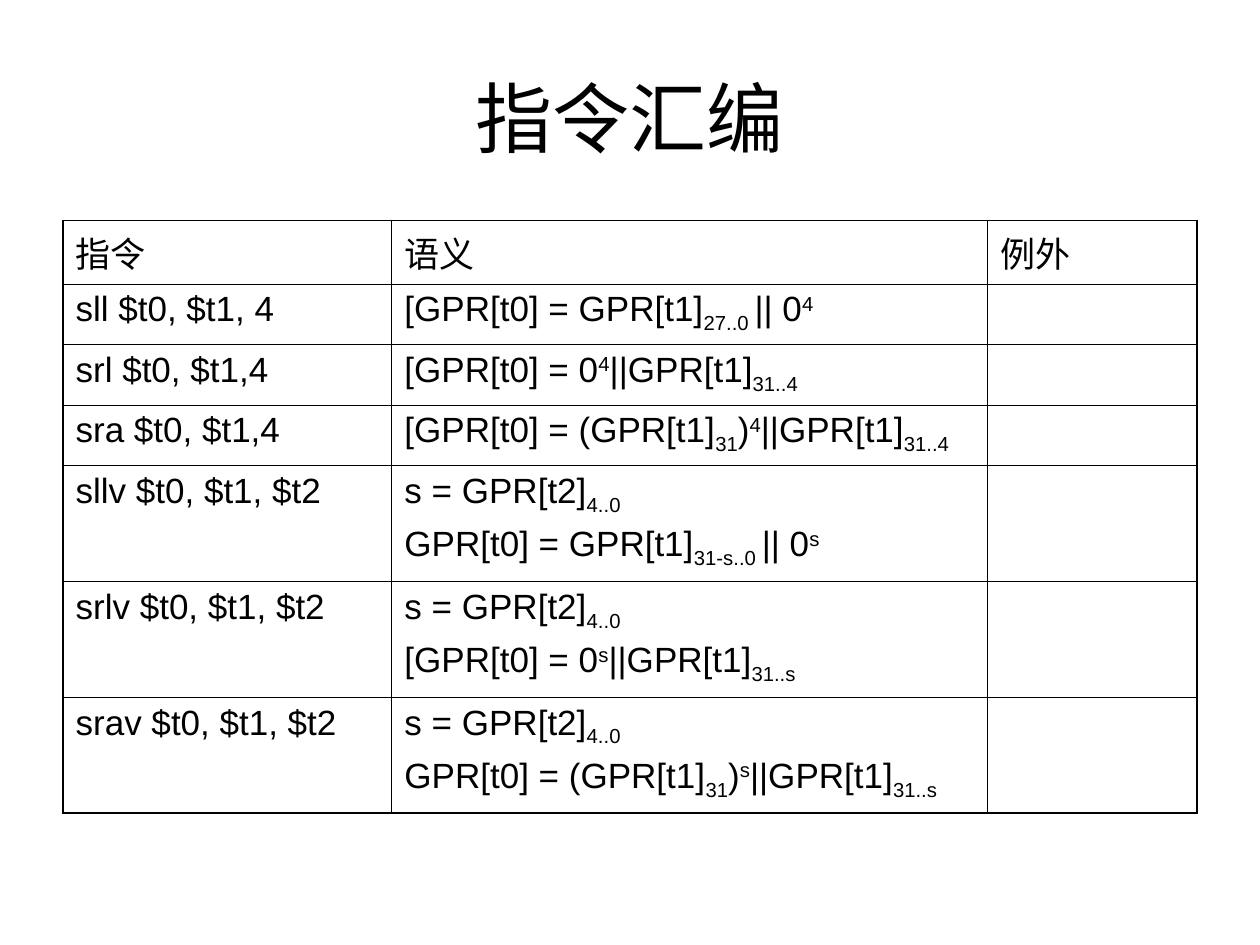
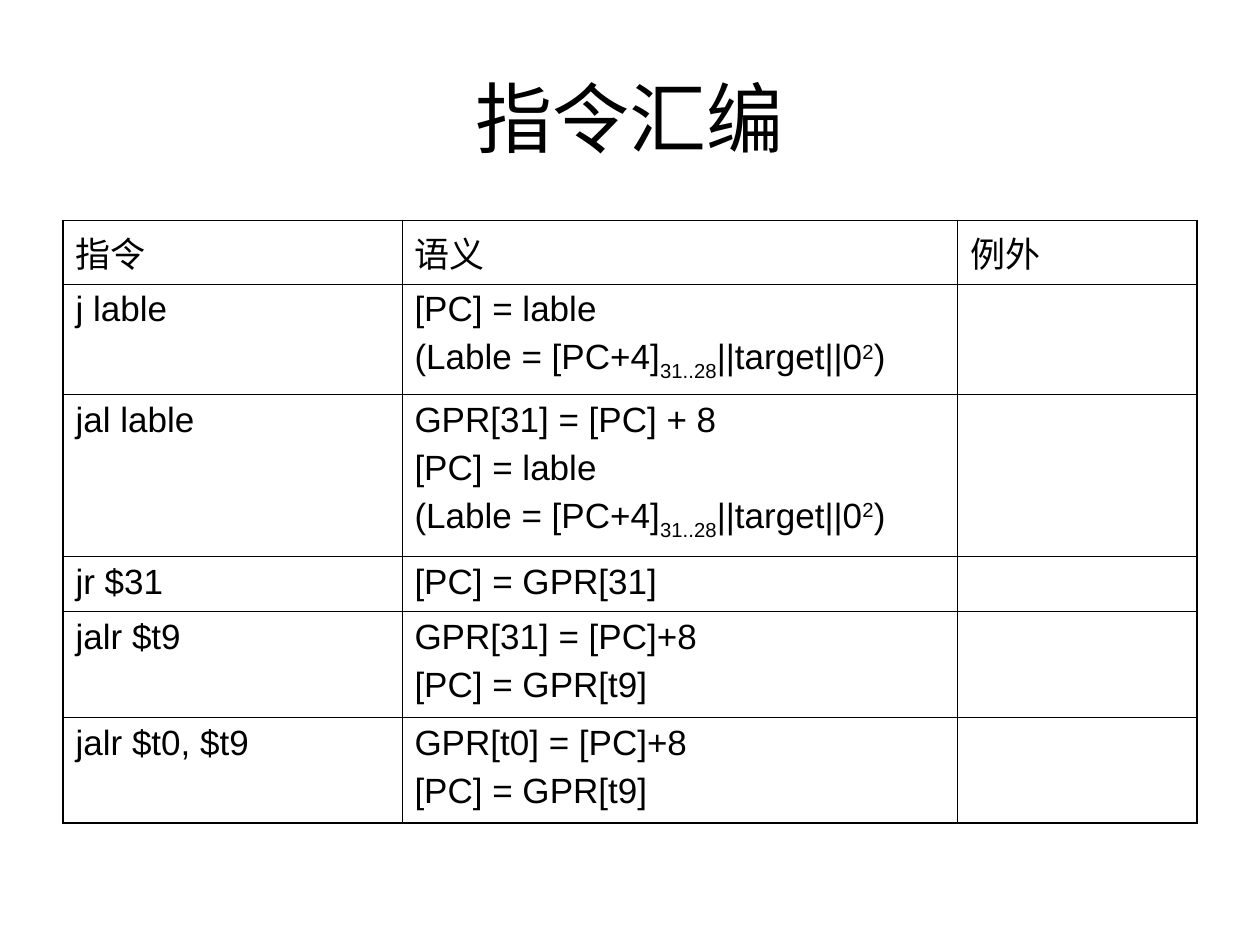
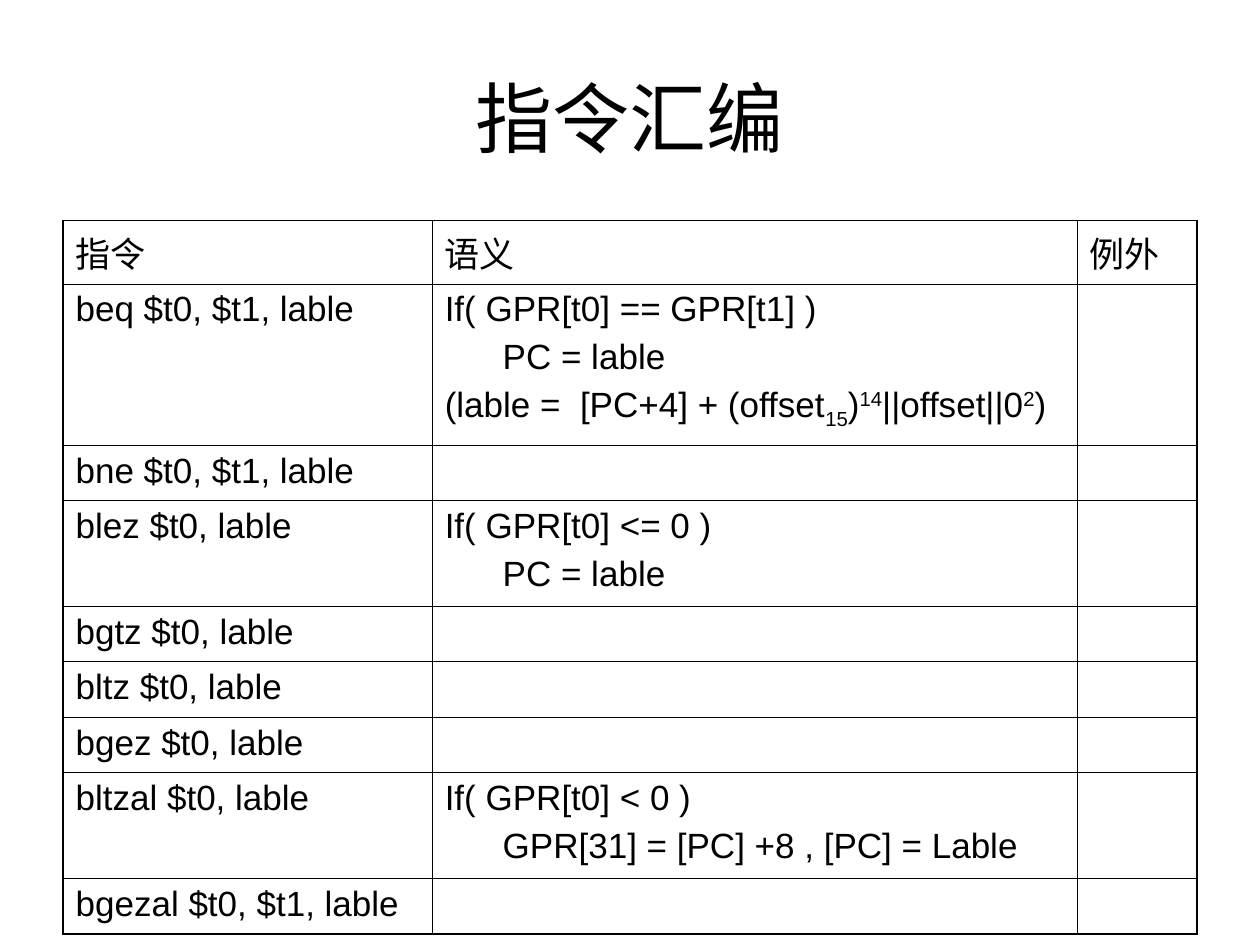
from pptx import Presentation
from pptx.dml.color import RGBColor
from pptx.enum.text import MSO_ANCHOR, PP_ALIGN
from pptx.oxml.ns import qn
from pptx.util import Inches, Pt
from lxml.etree import SubElement

# Content: ~sub~ and ^super^ mark shifted text, a leading > an indented line
TITLE = "指令汇编"
HEAD = ("指令", ["语义"], "例外")
JUMP = "(Lable = [PC+4]~31..28~||target||0^2^)"
SHIFT = "s = GPR[t2]~4..0~"
PAGES = [
    {"cols": (2.61, 4.73), "rows": [
        ("sll $t0, $t1, 4", ["[GPR[t0] = GPR[t1]~27..0 ~|| 0^4^"]),
        ("srl $t0, $t1,4", ["[GPR[t0] = 0^4^||GPR[t1]~31..4~"]),
        ("sra $t0, $t1,4", ["[GPR[t0] = (GPR[t1]~31~)^4^||GPR[t1]~31..4~"]),
        ("sllv $t0, $t1, $t2", [SHIFT, "GPR[t0] = GPR[t1]~31-s..0 ~|| 0^s^"]),
        ("srlv $t0, $t1, $t2", [SHIFT, "[GPR[t0] = 0^s^||GPR[t1]~31..s~"]),
        ("srav $t0, $t1, $t2",
         [SHIFT, "GPR[t0] = (GPR[t1]~31~)^s^||GPR[t1]~31..s~"]),
    ]},
    {"cols": (2.69, 4.41), "rows": [
        ("j lable", ["[PC] = lable", JUMP]),
        ("jal lable", ["GPR[31] = [PC] + 8", "[PC] = lable", JUMP]),
        ("jr $31", ["[PC] = GPR[31]"]),
        ("jalr $t9", ["GPR[31] = [PC]+8", "[PC] = GPR[t9]"]),
        ("jalr $t0, $t9", ["GPR[t0] = [PC]+8", "[PC] = GPR[t9]"]),
    ]},
    {"cols": (2.93, 5.12), "rows": [
        ("beq $t0, $t1, lable",
         ["If( GPR[t0] == GPR[t1] )", ">PC = lable",
          "(lable =  [PC+4] + (offset~15~)^14^||offset||0^2^)"]),
        ("bne $t0, $t1, lable", [""]),
        ("blez $t0, lable", ["If( GPR[t0] <= 0 )", ">PC = lable"]),
        ("bgtz $t0, lable", [""]),
        ("bltz $t0, lable", [""]),
        ("bgez $t0, lable", [""]),
        ("bltzal $t0, lable",
         ["If( GPR[t0] < 0 )", ">GPR[31] = [PC] +8 , [PC] = Lable"]),
        ("bgezal $t0, $t1, lable", [""]),
    ]},
]

# Shared look
BLACK = RGBColor(0, 0, 0)
FONT = "Arial"
LEFT, WIDE = 0.5, 9
TOP = 1.75
ROW, LINE, SUB = 0.44, 0.4, 0.04
INDENT = 0.46
THIN, THICK = 0.45, 1.08
LOW, HIGH = -25000, 30000


def style(font, size):
    for key, val in {"name": FONT, "size": Pt(size), "bold": False}.items():
        setattr(font, key, val)
    font.color.rgb = BLACK


def pieces(text):
    """Yield each stretch of text with its baseline shift."""
    for i, part in enumerate(text.split("~")):
        for j, bit in enumerate(part.split("^")):
            if bit:
                yield bit, LOW if i % 2 else HIGH if j % 2 else 0


def write(cell, lines):
    frame = cell.text_frame
    for n, line in enumerate(lines):
        para = frame.add_paragraph() if n else frame.paragraphs[0]
        para.space_before = Pt(5)
        style(para.font, 20)
        if line.startswith(">"):
            para._p.get_or_add_pPr().set("marL", str(Inches(INDENT)))
        for bit, shift in pieces(line.lstrip(">")):
            run = para.add_run()
            run.text = bit
            style(run.font, 20)
            if shift:
                run._r.get_or_add_rPr().set("baseline", str(shift))


def border(cell, outer):
    """Draw four edges, thick where the edge is on the outside."""
    props = cell._tc.get_or_add_tcPr()
    for side, edge in zip("LRTB", outer):
        line = SubElement(props, qn(f"a:ln{side}"),
                          w=str(Pt(THICK if edge else THIN)))
        fill = SubElement(line, qn("a:solidFill"))
        SubElement(fill, qn("a:srgbClr"), val=str(BLACK))
    cell.fill.background()


def height(lines):
    subs = sum("~" in line for line in lines)
    return ROW + LINE * (len(lines) - 1) + SUB * subs


def add_title(slide):
    box = slide.shapes.title
    place = {"left": LEFT, "top": 0.3, "width": WIDE, "height": 1.25}
    for key, val in place.items():
        setattr(box, key, Inches(val))
    frame = box.text_frame
    frame.text = TITLE
    frame.vertical_anchor = MSO_ANCHOR.MIDDLE
    para = frame.paragraphs[0]
    para.alignment = PP_ALIGN.CENTER
    style(para.runs[0].font, 44)


def add_grid(slide, page):
    rows = [HEAD] + [(code, means, "") for code, means in page["rows"]]
    cols = (*page["cols"], WIDE - sum(page["cols"]))
    tall = [height(row[1]) for row in rows]
    grid = slide.shapes.add_table(
        len(rows), len(cols), Inches(LEFT), Inches(TOP),
        Inches(WIDE), Inches(sum(tall))).table
    grid.first_row = grid.horz_banding = False
    for col, width in zip(grid.columns, cols):
        col.width = Inches(width)
    for r, (code, means, trap) in enumerate(rows):
        grid.rows[r].height = Inches(tall[r])
        for c, lines in enumerate(([code], means, [trap])):
            cell = grid.cell(r, c)
            write(cell, lines)
            border(cell, (c == 0, c == len(cols) - 1,
                          r == 0, r == len(rows) - 1))


def main():
    deck = Presentation()
    deck.slide_width, deck.slide_height = Inches(10), Inches(7.5)
    for page in PAGES:
        slide = deck.slides.add_slide(deck.slide_layouts[5])
        add_title(slide)
        add_grid(slide, page)
    deck.save("out.pptx")


if __name__ == "__main__":
    main()
